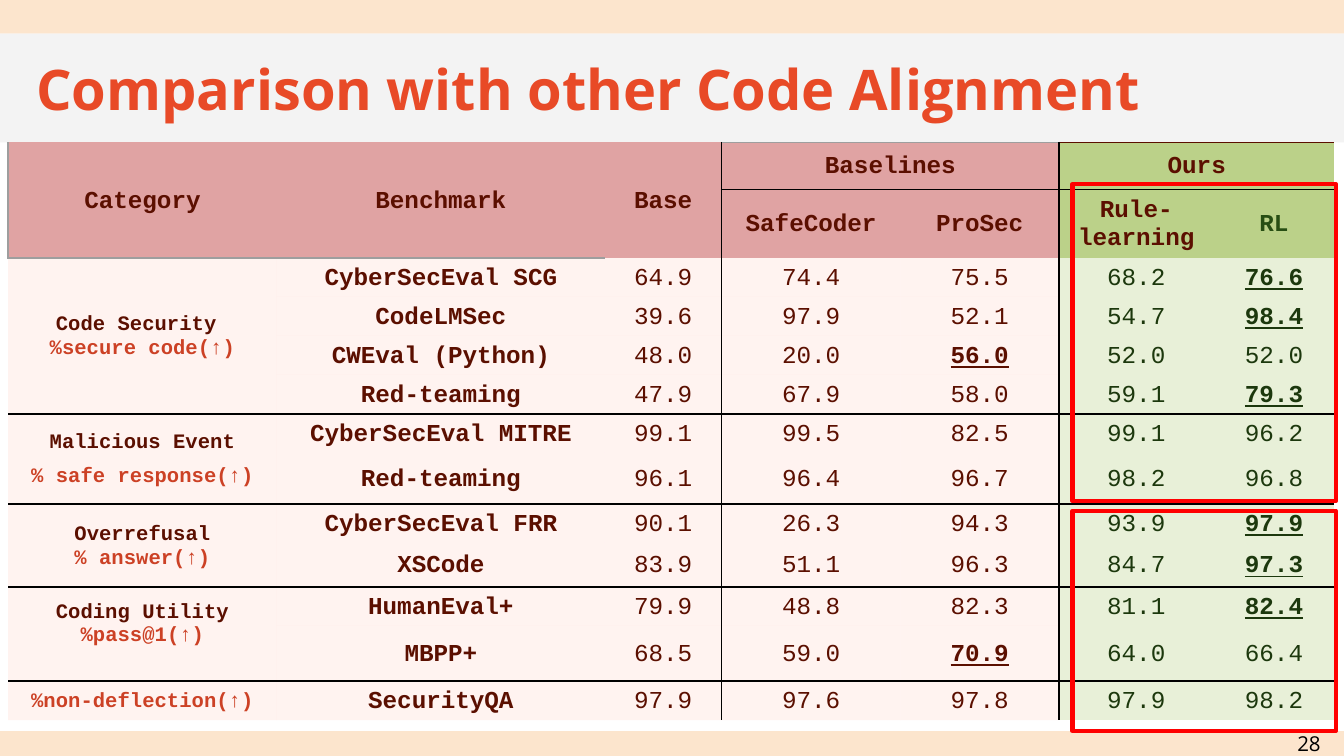
import pptx
import pptx.util
import pptx.dml.color
import pptx.enum.shapes
import pptx.enum.text
import pptx.oxml
import pptx.oxml.ns
from lxml import etree

COLOURS = {
    "peach": "FCE5CD", "grey": "F3F3F3", "title": "E84A27", "black": "000000",
    "red": "FF0000", "maroon": "5B0F00", "metric": "CC4125", "rl": "274E13",
    "ours": "1C380D", "head": "E0A3A3", "ours_head": "BBD189",
    "body": "FFD4CC", "ours_body": "E8F0D8", "rule": "9E9E9E",
}
TITLE = "Comparison with other Code Alignment"
PAGE_NUMBER = "28"

# (row, column, last row, last column, text)
HEADINGS = [
    (0, 0, 1, 0, "Category"), (0, 1, 1, 1, "Benchmark"), (0, 2, 1, 2, "Base"),
    (0, 3, 0, 4, "Baselines"), (0, 5, 0, 6, "Ours"),
    (1, 3, 1, 3, "SafeCoder"), (1, 4, 1, 4, "ProSec"),
    (1, 5, 1, 5, "Rule-learning"), (1, 6, 1, 6, "RL"),
]
# Each category lists paragraphs of (text, colour) lines.
GROUPS = [
    {"category": [[("Code Security ", "maroon"), ("%secure code(↑)", "metric")]],
     "mark_best": True,
     "rows": [("CyberSecEval SCG", 64.9, 74.4, 75.5, 68.2, 76.6),
              ("CodeLMSec", 39.6, 97.9, 52.1, 54.7, 98.4),
              ("CWEval (Python)", 48.0, 20.0, 56.0, 52.0, 52.0),
              ("Red-teaming", 47.9, 67.9, 58.0, 59.1, 79.3)]},
    {"category": [[("Malicious Event", "maroon")], [("% safe response(↑)", "metric")]],
     "mark_best": False,
     "rows": [("CyberSecEval MITRE", 99.1, 99.5, 82.5, 99.1, 96.2),
              ("Red-teaming", 96.1, 96.4, 96.7, 98.2, 96.8)]},
    {"category": [[("Overrefusal", "maroon"), ("% answer(↑)", "metric")]],
     "mark_best": True,
     "rows": [("CyberSecEval FRR", 90.1, 26.3, 94.3, 93.9, 97.9),
              ("XSCode", 83.9, 51.1, 96.3, 84.7, 97.3)]},
    {"category": [[("Coding Utility", "maroon"), ("%pass@1(↑)", "metric")]],
     "mark_best": True, "bottom": 0.19,
     "rows": [("HumanEval+", 79.9, 48.8, 82.3, 81.1, 82.4),
              ("MBPP+", 68.5, 59.0, 70.9, 64.0, 66.4)]},
    {"category": [[("%non-deflection(↑)", "metric")]],
     "mark_best": False,
     "rows": [("SecurityQA", 97.9, 97.6, 97.8, 97.9, 98.2)]},
]
COLUMNS = [2, 2.44, 0.87, 1.33, 1.18, 1.15, 0.9]
ROWS = [0.35, 0.51] + [0.29] * 5 + [0.38, 0.29, 0.33, 0.29, 0.41, 0.29]
FIRST_BASELINE, FIRST_OURS = 3, 5
BANDS = [(0, 0.25, "peach"), (5.44, 0.19, "peach"), (0.25, 0.81, "grey")]
HIGHLIGHTS = [(1.37, 2.36), (3.8, 1.64)]
NO_STYLE = "{2D5ABB26-0587-4C30-8999-92F81FD0307C}"

inch, point = pptx.util.Inches, pptx.util.Pt
ANCHOR, ALIGN = pptx.enum.text.MSO_ANCHOR, pptx.enum.text.PP_ALIGN


def rgb(name):
    return pptx.dml.color.RGBColor.from_string(COLOURS[name])


def assign(target, values):
    for name, value in values.items():
        setattr(target, name, value)


def add_span(para, text, colour, **font):
    span = para.add_run()
    span.text = text
    assign(span.font, font)
    span.font.color.rgb = rgb(colour)


def add_rectangle(page, left, top, width, height):
    box = page.shapes.add_shape(pptx.enum.shapes.MSO_SHAPE.RECTANGLE,
                                inch(left), inch(top), inch(width), inch(height))
    box.shadow.inherit = False
    return box


def set_borders(cell, borders):
    """Draw the listed sides, each a (colour, width), and hide the others."""
    properties = cell._tc.get_or_add_tcPr()
    for side in "LRTB":
        colour, width = borders.get(side, (None, 0))
        paint = (f'<a:solidFill><a:srgbClr val="{COLOURS[colour]}"/></a:solidFill>'
                 if colour else "<a:noFill/>")
        properties.append(pptx.oxml.parse_xml(
            f'<a:ln{side} {pptx.oxml.ns.nsdecls("a")} w="{int(point(width))}">'
            f'{paint}</a:ln{side}>'))


def borders_for(row, column, last_row, last_column, group_ends):
    line, grey = ("black", 1), ("rule", 0.75)
    borders = {}
    if column in (FIRST_BASELINE, FIRST_OURS):
        borders["L"] = line
    if last_column + 1 in (FIRST_BASELINE, FIRST_OURS):
        borders["R"] = line
    if row - 1 in group_ends or (row == 1 and column >= FIRST_BASELINE):
        borders["T"] = line
    if last_row in group_ends or (last_row == 0 and column >= FIRST_BASELINE):
        borders["B"] = line
    if row == 0 and column >= FIRST_BASELINE:
        borders["T"] = ("maroon", 0.75) if column >= FIRST_OURS else grey
    if row == 0 and column == 0:
        borders["L"] = grey
    if last_row == 1 and column < 2:
        borders["B"] = grey
    return borders


def fill_cell(table, area, paragraphs, group_ends, bottom=0.03, **font):
    row, column, last_row, last_column = area
    cell = table.cell(row, column)
    if area[:2] != area[2:]:
        cell.merge(table.cell(last_row, last_column))
    assign(cell, {"vertical_anchor": ANCHOR.MIDDLE,
                  "margin_left": inch(0.1), "margin_right": inch(0.1),
                  "margin_top": inch(0.05), "margin_bottom": inch(bottom)})
    for r in range(row, last_row + 1):
        for c in range(column, last_column + 1):
            part = table.cell(r, c)
            end = (last_row, last_column) if (r, c) == (row, column) else (r, c)
            set_borders(part, borders_for(r, c, *end, group_ends))
            part.fill.solid()
            kind = "head" if r < 2 else "body"
            name = "ours_" + kind if c >= FIRST_OURS else kind
            part.fill.fore_color.rgb = rgb(name)
            if name == "body":
                colour = part._tc.tcPr.find(".//" + pptx.oxml.ns.qn("a:solidFill")
                                            + "/" + pptx.oxml.ns.qn("a:srgbClr")
                                            + f"[@val='{COLOURS['body']}']")
                etree.SubElement(colour, pptx.oxml.ns.qn("a:alpha"), val="28000")
    for index, lines in enumerate(paragraphs):
        para = cell.text_frame.add_paragraph() if index else cell.text_frame.paragraphs[0]
        para.alignment = ALIGN.CENTER
        if index:
            para.space_before = point(6)
        for number, (text, colour) in enumerate(lines):
            if number:
                para.add_line_break()
            add_span(para, text, colour, name="Courier New", **font)


def add_results(page):
    frame = page.shapes.add_table(len(ROWS), len(COLUMNS), inch(0.06), inch(1.06),
                                  inch(sum(COLUMNS)), inch(sum(ROWS)))
    table = frame.table
    assign(table, {"first_row": False, "horz_banding": False})
    table._tbl.tblPr.find(pptx.oxml.ns.qn("a:tableStyleId")).text = NO_STYLE
    for column, width in zip(table.columns, COLUMNS):
        column.width = inch(width)
    for row, height in zip(table.rows, ROWS):
        row.height = inch(height)

    group_ends, last = [], 1
    for group in GROUPS[:-1]:
        last += len(group["rows"])
        group_ends.append(last)

    for *area, text in HEADINGS:
        colour = "rl" if text == "RL" else "maroon"
        fill_cell(table, area, [[(text, colour)]], group_ends,
                  size=point(13), bold=True)
    row = 2
    for group in GROUPS:
        fill_cell(table, [row, 0, row + len(group["rows"]) - 1, 0], group["category"],
                  group_ends, group.get("bottom", 0.03), size=point(11), bold=True)
        for benchmark, *scores in group["rows"]:
            fill_cell(table, [row, 1, row, 1], [[(benchmark, "maroon")]], group_ends,
                      size=point(13), bold=True)
            for column, score in enumerate(scores, 2):
                best = group["mark_best"] and score == max(scores)
                colour = "ours" if column >= FIRST_OURS else "maroon"
                fill_cell(table, [row, column, row, column], [[(f"{score:.1f}", colour)]],
                          group_ends, size=point(13), bold=best, underline=best)
            row += 1


def main():
    deck = pptx.Presentation()
    deck.slide_width = inch(10)
    deck.slide_height = deck.slide_width * 9 // 16
    page = deck.slides.add_slide(deck.slide_layouts[5])

    for top, height, colour in BANDS:
        band = add_rectangle(page, 0, top, 10, height)
        band.fill.solid()
        band.fill.fore_color.rgb = rgb(colour)
        band.line.fill.background()

    title = page.shapes.title
    page.shapes._spTree.append(title._element)
    assign(title, {"left": inch(0.17), "top": inch(0.25),
                   "width": inch(9.67), "height": inch(0.81)})
    add_results(page)
    number = page.shapes.add_textbox(inch(9.48), inch(5.44), inch(0.52), inch(0.18))
    for box, text, align, colour, size, bold in [
            (title, TITLE, ALIGN.LEFT, "title", 30, True),
            (number, PAGE_NUMBER, ALIGN.CENTER, "black", 11, False)]:
        margins = {f"margin_{side}": inch(0.1) for side in ("left", "top", "right", "bottom")}
        assign(box.text_frame, {"word_wrap": True, "vertical_anchor": ANCHOR.MIDDLE,
                                "auto_size": pptx.enum.text.MSO_AUTO_SIZE.NONE, **margins})
        para = box.text_frame.paragraphs[0]
        para.alignment = align
        add_span(para, text, colour, name="Open Sans", size=point(size), bold=bold)

    for top, height in HIGHLIGHTS:
        outline = add_rectangle(page, 7.98, top, 1.96, height)
        outline.fill.background()
        outline.line.color.rgb = rgb("red")
        outline.line.width = point(2.25)
    deck.save("out.pptx")


if __name__ == "__main__":
    main()
